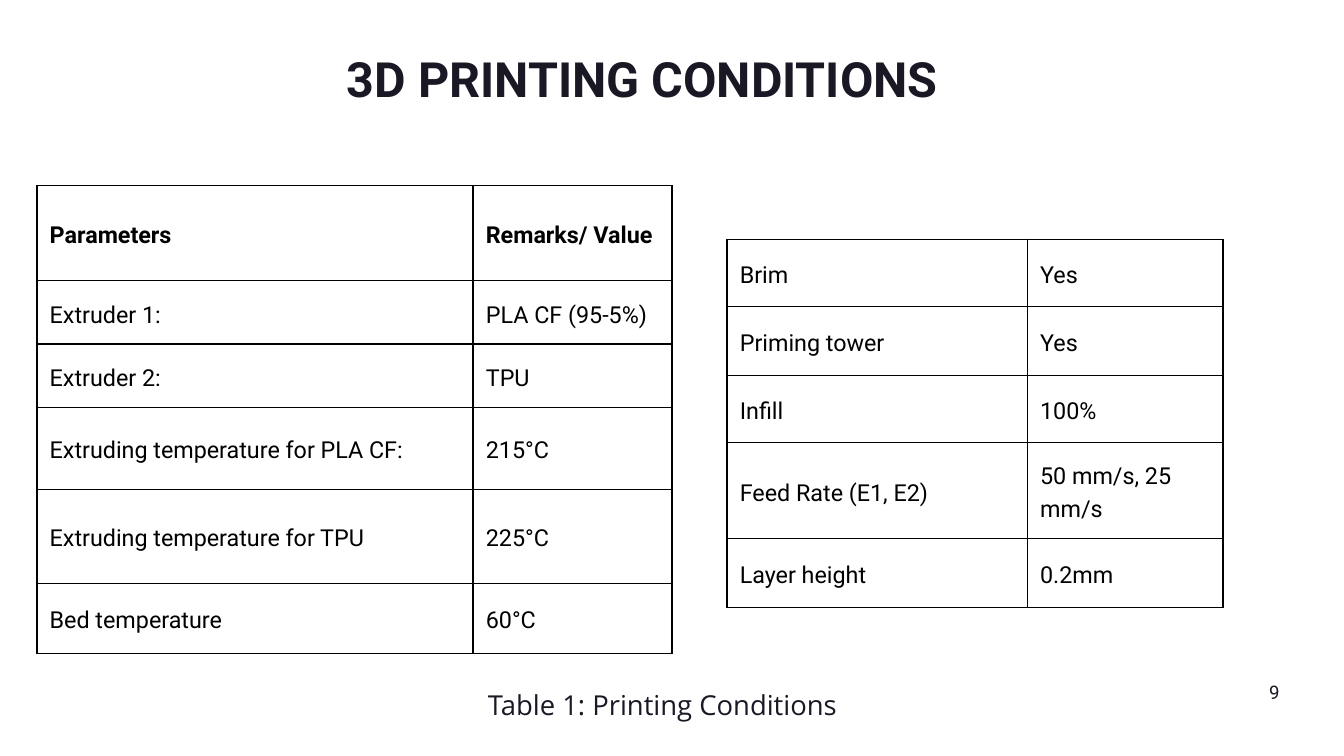
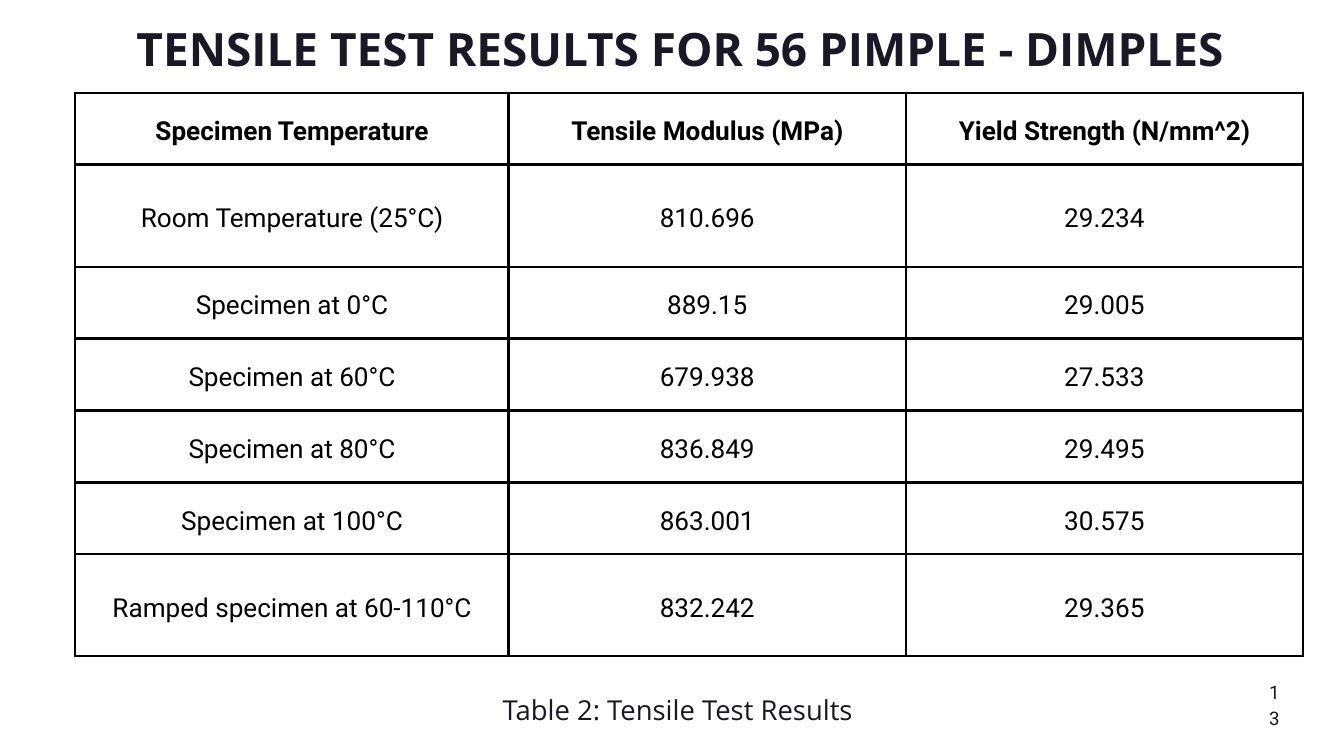
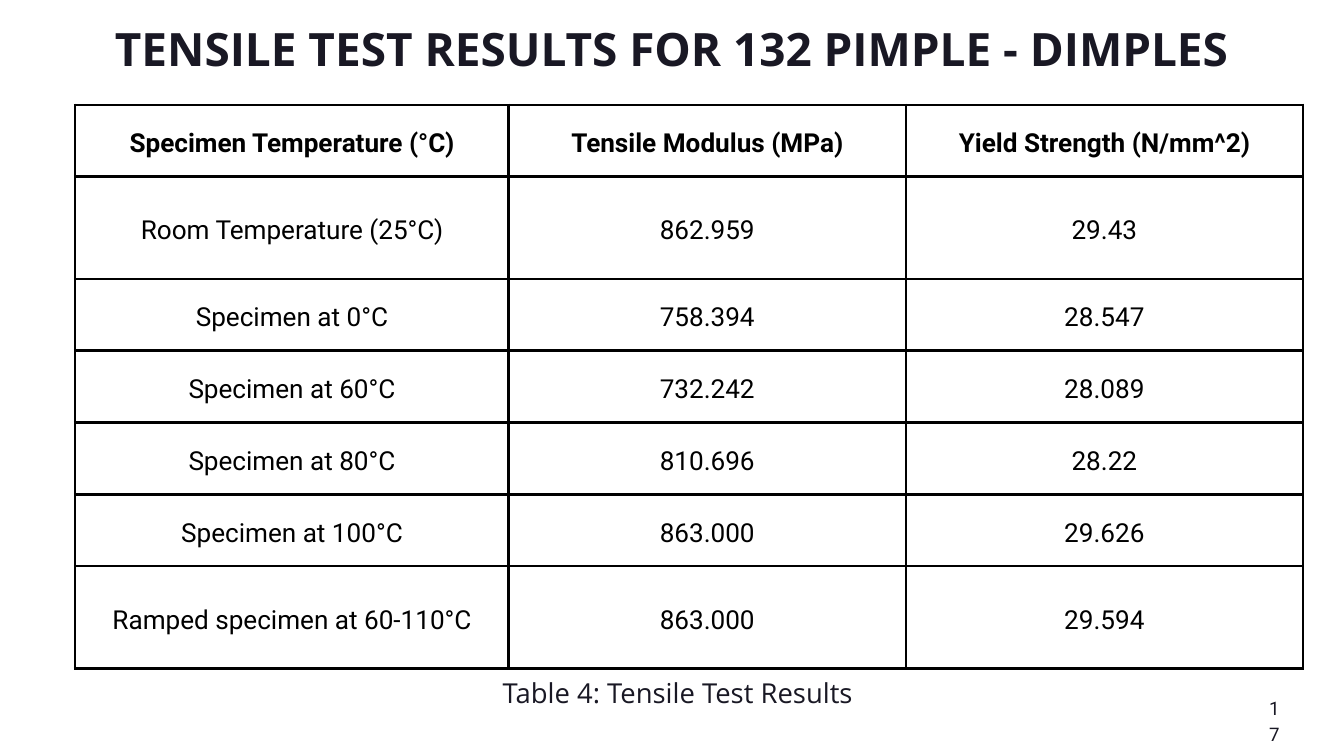
from lxml import etree
from pptx import Presentation
from pptx import util as u
from pptx.dml import color
from pptx.enum import text
from pptx.oxml import ns

HUES = {"ink": "191824", "grid": "000000", "page": "FFFFFF"}
HEAD, BODY = "Open Sans", "Roboto"


class Deck:
    def __init__(self):
        self.prs = Presentation()
        self.prs.slide_width = u.Pt(1440)
        self.prs.slide_height = u.Pt(810)
        self.slide = None

    def page(self):
        self.slide = self.prs.slides.add_slide(self.prs.slide_layouts[5])
        fill = self.slide.background.fill
        fill.solid()
        fill.fore_color.rgb = color.RGBColor.from_string(HUES["page"])

    def line(self, frame, words, size, font, lead, hue="ink", bold=False,
             align=text.PP_ALIGN.LEFT):
        para = frame.paragraphs[0]
        para.alignment = align
        para.line_spacing = u.Pt(lead)
        run = para.add_run()
        run.text = words
        run.font.size = u.Pt(size)
        run.font.name = font
        run.font.bold = bold
        run.font.color.rgb = color.RGBColor.from_string(HUES[hue])

    def frame(self, shape):
        frame = shape.text_frame
        frame.word_wrap = True
        frame.auto_size = text.MSO_AUTO_SIZE.NONE
        frame.vertical_anchor = text.MSO_ANCHOR.TOP
        frame.margin_left = frame.margin_right = 0
        frame.margin_top = frame.margin_bottom = 0
        return frame

    def title(self, words, box, size, font, lead):
        shape = self.slide.shapes.title
        shape.left, shape.top, shape.width, shape.height = map(u.Pt, box)
        self.line(self.frame(shape), words, size, font, lead, bold=True)

    def label(self, words, box, *style, **more):
        shape = self.slide.shapes.add_textbox(*map(u.Pt, box))
        self.line(self.frame(shape), words, *style, **more)

    def caption(self, words, left, top):
        self.label(words, (left, top, 400, 39.6), 29.4, HEAD, 41.2)

    def number(self, words, top):
        self.label(words, (1359.4, top, 12.2, 16), 20, BODY, 28,
                   align=text.PP_ALIGN.CENTER)

    def edge(self, cell, width):
        props = cell._tc.get_or_add_tcPr()
        for spot, side in enumerate(("lnL", "lnR", "lnT", "lnB")):
            edge = etree.Element(ns.qn("a:" + side), w=str(u.Pt(width)))
            fill = etree.SubElement(edge, ns.qn("a:solidFill"))
            etree.SubElement(fill, ns.qn("a:srgbClr"), val=HUES["grid"])
            props.insert(spot, edge)

    def table(self, rows, left, top, cols, highs, size, pad, rule,
              align=text.PP_ALIGN.LEFT, head=True):
        box = map(u.Pt, (left, top, sum(cols), sum(highs)))
        grid = self.slide.shapes.add_table(len(rows), len(cols), *box).table
        grid.first_row = grid.horz_banding = False
        for col, wide in zip(grid.columns, cols):
            col.width = u.Pt(wide)
        for row, high in zip(grid.rows, highs):
            row.height = u.Pt(high)
        for r, row in enumerate(rows):
            for c, words in enumerate(row):
                cell = grid.cell(r, c)
                cell.fill.background()
                cell.vertical_anchor = text.MSO_ANCHOR.MIDDLE
                cell.margin_left = cell.margin_right = u.Pt(pad)
                cell.margin_top = cell.margin_bottom = u.Pt(pad)
                self.edge(cell, rule)
                self.line(cell.text_frame, words, size, BODY, size * 1.4,
                          "grid", head and r == 0, align)


PRINT = [
    ("Parameters", "Remarks/ Value"),
    ("Extruder 1:", "PLA CF (95-5%)"),
    ("Extruder 2:", "TPU"),
    ("Extruding temperature for PLA CF:", "215°C"),
    ("Extruding temperature for TPU", "225°C"),
    ("Bed temperature", "60°C"),
]
BUILD = [
    ("Brim", "Yes"),
    ("Priming tower", "Yes"),
    ("Infill", "100%"),
    ("Feed Rate (E1, E2)", "50 mm/s, 25 mm/s"),
    ("Layer height", "0.2mm"),
]
TESTS = ("Room Temperature (25°C)", "Specimen at 0°C", "Specimen at 60°C",
         "Specimen at 80°C", "Specimen at 100°C",
         "Ramped specimen at 60-110°C")
UNITS = ("Tensile Modulus (MPa)", "Yield Strength (N/mm^2)")
TENSILE = [
    dict(count=56, left=146.2, wide=1184.4, top=99.4, head="Specimen Temperature",
         moduli=("810.696", "889.15", "679.938", "836.849", "863.001", "832.242"),
         yields=("29.234", "29.005", "27.533", "29.495", "30.575", "29.365"),
         index=2, foot=736.6, page="13", low=725),
    dict(count=132, left=123.1, wide=1231.2, top=112.3,
         head="Specimen Temperature (°C)",
         moduli=("862.959", "758.394", "732.242", "810.696", "863.000", "863.000"),
         yields=("29.43", "28.547", "28.089", "28.22", "29.626", "29.594"),
         index=4, foot=718.6, page="17", low=743),
]


def main():
    deck = Deck()
    deck.page()
    deck.title("3D PRINTING CONDITIONS", (371.5, 42.5, 697, 69.8), 52, BODY, 72.8)
    deck.table(PRINT, 39.6, 198.7, (467.3, 213.1),
               (102.2, 67.7, 67.7, 87.8, 100.8, 74.9), 25, 13.7, 1.5)
    deck.table(BUILD, 779, 256.3, (321.8, 209.5),
               (72, 74.2, 72, 102.2, 74.2), 25, 13.7, 1.5, head=False)
    deck.caption("Table 1: Printing Conditions", 522.7, 730.8)
    deck.number("9", 725)

    for test in TENSILE:
        deck.page()
        deck.title(f"TENSILE TEST RESULTS FOR {test['count']} PIMPLE - DIMPLES",
                   (test["left"], 22.3, test["wide"], 58.3), 49.2, HEAD, 59.1)
        rows = [(test["head"], *UNITS), *zip(TESTS, test["moduli"], test["yields"])]
        deck.table(rows, 80.6, test["top"], (464.4, 425.5, 425.5),
                   (77, 109.4, *[77] * 4, 109.4), 28, 15.1, 2.95,
                   align=text.PP_ALIGN.CENTER)
        deck.caption(f"Table {test['index']}: Tensile Test Results", 538.6, test["foot"])
        deck.number(test["page"], test["low"])
    deck.prs.save("out.pptx")


if __name__ == "__main__":
    main()
